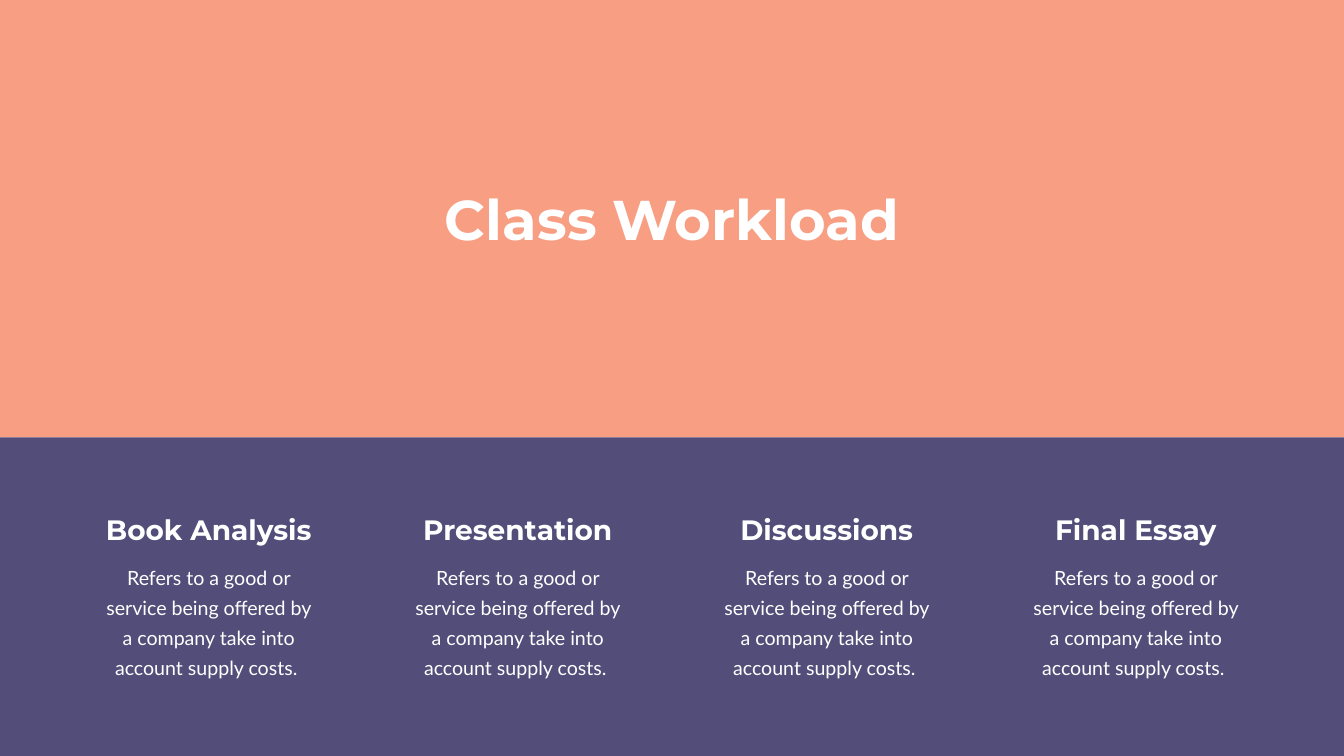
"""Builds the class workload slide: a title band above four columns of tasks."""
from lxml.etree import SubElement
from pptx import Presentation
from pptx.dml.color import RGBColor
from pptx.enum.shapes import MSO_SHAPE as Shape
from pptx.enum.text import MSO_ANCHOR as Anchor, MSO_AUTO_SIZE as AutoSize, PP_ALIGN as Align
from pptx.oxml.ns import qn
from pptx.util import Inches, Pt

TITLE = "Class Workload"
SUMMARY = "Refers to a good or service being offered by a company take into account supply costs. "
TASKS = [
    ("Book Analysis", SUMMARY),
    ("Presentation", SUMMARY),
    ("Discussions", SUMMARY),
    ("Final Essay", SUMMARY),
]
CORAL, PURPLE, WHITE = "F68664", "524D79", "FFFFFF"
WIDTH, HEIGHT, SPLIT = 26.66, 15, 8.68
FIRST_CENTER, PITCH = 4.14, 6.13
HEADING_WIDTH, SUMMARY_WIDTH = 4.47, 4.62


def rgb(color):
    return RGBColor.from_string(color)


def place(shape, left, top, width, height):
    shape.left, shape.top = Inches(left), Inches(top)
    shape.width, shape.height = Inches(width), Inches(height)


def write(shape, text, size, font="Montserrat", bold=True, color=WHITE,
          inset=(0.1, 0.05), line=None, before=0):
    frame = shape.text_frame
    frame.word_wrap = True
    frame.auto_size = AutoSize.SHAPE_TO_FIT_TEXT
    frame.vertical_anchor = Anchor.TOP
    frame.margin_left = frame.margin_right = Inches(inset[0])
    frame.margin_top = frame.margin_bottom = Inches(inset[1])
    paragraph = frame.paragraphs[0]
    paragraph.alignment = Align.CENTER
    paragraph.line_spacing = Pt(line) if line else 1.0
    paragraph.space_before = Pt(before)
    run = paragraph.add_run()
    run.text = text
    run.font.size, run.font.name, run.font.bold = Pt(size), font, bold
    run.font.color.rgb = rgb(color)


def add_band(slide, top, height, color, opacity=100):
    band = slide.shapes.add_shape(
        Shape.RECTANGLE, 0, Inches(top), Inches(WIDTH), Inches(height))
    band.shadow.inherit = False
    band.fill.solid()
    band.fill.fore_color.rgb = rgb(color)
    band.line.fill.background()
    if opacity < 100:
        tint = band.element.spPr.find(qn("a:solidFill")).find(qn("a:srgbClr"))
        SubElement(tint, qn("a:alpha"), val=str(opacity * 1000))
    slide.shapes.title.element.addprevious(band.element)


def add_centered_box(shapes, center, top, width, height):
    return shapes.add_textbox(
        Inches(center - width / 2), Inches(top), Inches(width), Inches(height))


def main():
    deck = Presentation()
    deck.slide_width, deck.slide_height = Inches(WIDTH), Inches(HEIGHT)
    slide = deck.slides.add_slide(deck.slide_layouts.get_by_name("Title Only"))
    add_band(slide, 0, SPLIT, CORAL, opacity=80)
    add_band(slide, SPLIT, HEIGHT - SPLIT, PURPLE)
    place(slide.shapes.title, 8.02, 3.62, 10.62, 1.45)
    write(slide.shapes.title, TITLE, 80)

    for index, (heading, summary) in enumerate(TASKS):
        center = FIRST_CENTER + index * PITCH
        column = slide.shapes.add_group_shape().shapes
        write(add_centered_box(column, center, 10.12, HEADING_WIDTH, 0.77), heading, 40)
        write(add_centered_box(column, center, 10.97, SUMMARY_WIDTH, 2.59), summary, 28,
              font="Lato", bold=False, inset=(0.24, 0.12), line=43, before=5.6)
    deck.save("out.pptx")


if __name__ == "__main__":
    main()
